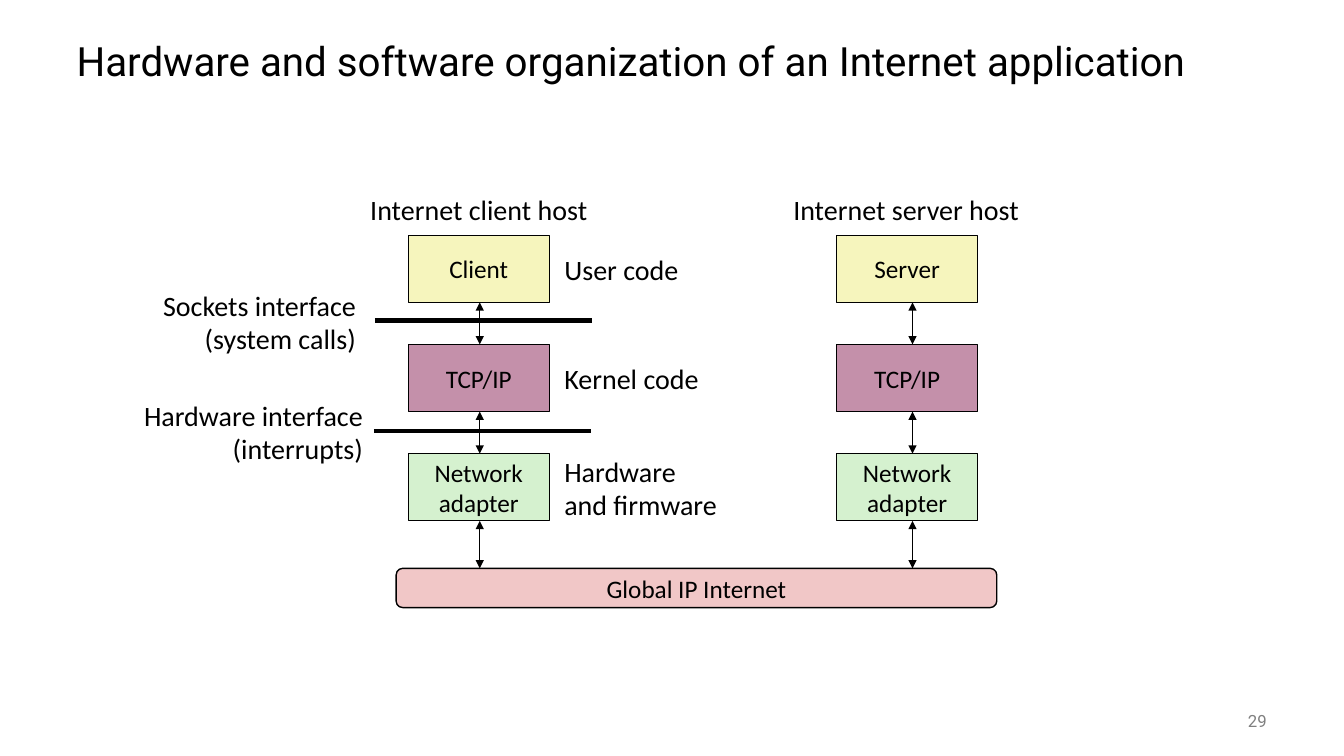
from lxml.etree import SubElement
from pptx import Presentation
from pptx.dml.color import RGBColor
from pptx.enum.shapes import MSO_CONNECTOR, MSO_SHAPE
from pptx.enum.text import MSO_ANCHOR, MSO_AUTO_SIZE, PP_ALIGN
from pptx.oxml.ns import qn
from pptx.util import Pt

BLACK = RGBColor(0x00, 0x00, 0x00)
GRAY = RGBColor(0x80, 0x80, 0x80)
YELLOW = RGBColor(0xF6, 0xF5, 0xBD)
MAUVE = RGBColor(0xC4, 0x90, 0xAA)
GREEN = RGBColor(0xD5, 0xF1, 0xCF)
PINK = RGBColor(0xF1, 0xC7, 0xC7)

LAYER_TOP, LAYER_STEP = 168, 78
LAYER_WIDTH, LAYER_HEIGHT = 100.8, 48
INTERNET_TOP = 406


def write(frame, text, size=20, font="Calibri", color=BLACK,
          align=PP_ALIGN.LEFT, spacing=1.0, wrap=False):
    frame.auto_size = MSO_AUTO_SIZE.NONE
    frame.word_wrap = wrap
    frame.vertical_anchor = MSO_ANCHOR.MIDDLE
    frame.text = text
    for paragraph in frame.paragraphs:
        paragraph.alignment = align
        paragraph.line_spacing = spacing
        paragraph.font.size = Pt(size)
        paragraph.font.name = font
        paragraph.font.color.rgb = color


class Diagram:
    def __init__(self, slide):
        self.slide = slide
        self.shapes = slide.shapes
        self.heading_font = "Roboto"
        self.box_size = 18
        self.outline = 1

    def title(self, text, left, top, width, height):
        heading = self.shapes.title
        heading.left, heading.top = Pt(left), Pt(top)
        heading.width, heading.height = Pt(width), Pt(height)
        write(heading.text_frame, text, size=28.8, font=self.heading_font,
              spacing=0.9, wrap=True)

    def label(self, text, left, top, width, height, **style):
        area = self.shapes.add_textbox(Pt(left), Pt(top), Pt(width), Pt(height))
        write(area.text_frame, text, **style)

    def box(self, text, left, top, width, height, fill, preset=MSO_SHAPE.RECTANGLE):
        block = self.shapes.add_shape(preset, Pt(left), Pt(top), Pt(width), Pt(height))
        block.shadow.inherit = False
        block.fill.solid()
        block.fill.fore_color.rgb = fill
        block.line.color.rgb = BLACK
        block.line.width = Pt(self.outline)
        write(block.text_frame, text, size=self.box_size, align=PP_ALIGN.CENTER)

    def line(self, x1, y1, x2, y2, weight):
        rule = self.shapes.add_connector(
            MSO_CONNECTOR.STRAIGHT, Pt(x1), Pt(y1), Pt(x2), Pt(y2))
        rule.line.color.rgb = BLACK
        rule.line.width = Pt(weight)
        SubElement(rule._element.spPr, qn("a:effectLst"))
        return rule

    def double_arrow(self, x, top, bottom):
        arrow = self.line(x, top, x, bottom, self.outline)
        stroke = arrow.line._get_or_add_ln()
        for end in ("a:headEnd", "a:tailEnd"):
            SubElement(stroke, qn(end), type="triangle")


def main():
    deck = Presentation()
    deck.slide_width, deck.slide_height = Pt(960), Pt(540)
    diagram = Diagram(deck.slides.add_slide(deck.slide_layouts[5]))

    diagram.title("Hardware and software organization of an Internet application",
                  47.5, 18, 864, 54)
    diagram.label("29", 840, 500.4, 72, 28.8, size=12, font=diagram.heading_font,
                  color=GRAY, align=PP_ALIGN.RIGHT)

    hosts = [("Internet client host", "Client", 291.6, 342.7, 256.3, 171.4),
             ("Internet server host", "Server", 597.6, 651.8, 558.7, 177.1)]
    for host, program, left, arrow_x, host_left, host_width in hosts:
        diagram.label(host, host_left, 133.9, host_width, 31.7, align=PP_ALIGN.CENTER)
        layers = [(program, YELLOW), ("TCP/IP", MAUVE), ("Network\nadapter", GREEN)]
        for level, (layer, fill) in enumerate(layers):
            top = LAYER_TOP + level * LAYER_STEP
            is_last = level == len(layers) - 1
            diagram.box(layer, left, top, LAYER_WIDTH, LAYER_HEIGHT, fill)
            diagram.double_arrow(arrow_x, top + LAYER_HEIGHT,
                                 INTERNET_TOP if is_last else top + LAYER_STEP)

    diagram.box("Global IP Internet", 283, INTERNET_TOP, 429, 28, PINK,
                MSO_SHAPE.ROUNDED_RECTANGLE)

    code_kinds = [("User code", 97.2, 31.7), ("Kernel code", 111.6, 31.7),
                  ("Hardware\nand firmware", 124.6, 55.4)]
    for level, (kind, width, height) in enumerate(code_kinds):
        middle = LAYER_TOP + level * LAYER_STEP + LAYER_HEIGHT / 2
        diagram.label(kind, 396, middle + 0.5 - height / 2, width, height)

    interfaces = [("Sockets interface\n(system calls)", 107.3, 202.3, 154.1, 267.8, 229),
                  ("Hardware interface\n(interrupts)", 93.6, 280.8, 172.8, 267.1, 308)]
    for interface, left, top, width, line_left, line_y in interfaces:
        diagram.label(interface, left, top, width, 55.4, align=PP_ALIGN.RIGHT)
        diagram.line(line_left, line_y, line_left + 154.8, line_y, 3)

    deck.save("out.pptx")


if __name__ == "__main__":
    main()
